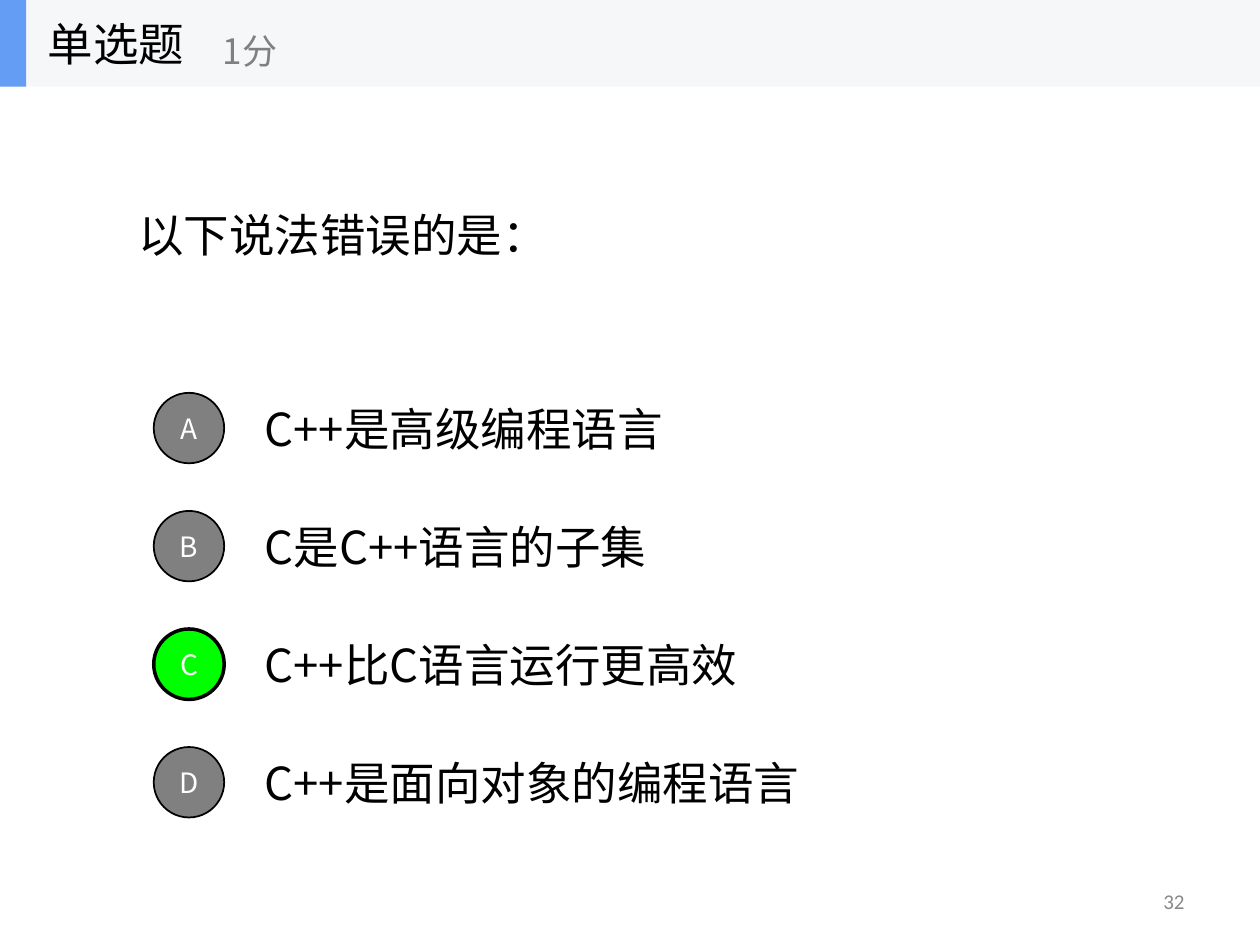
from pptx import Presentation
from pptx.dml.color import RGBColor
from pptx.enum.shapes import MSO_SHAPE
from pptx.enum.text import MSO_ANCHOR, PP_ALIGN
from pptx.oxml.ns import qn
from pptx.util import Cm, Pt

RECT, OVAL = MSO_SHAPE.RECTANGLE, MSO_SHAPE.OVAL
MIDDLE = MSO_ANCHOR.MIDDLE
LEFT, CENTER, RIGHT = PP_ALIGN.LEFT, PP_ALIGN.CENTER, PP_ALIGN.RIGHT

FONT = "Noto Sans CJK SC"
BLACK, WHITE, GRAY, GREEN = "000000", "FFFFFF", "808080", "00FF00"

OPTIONS = ["C++是高级编程语言", "C是C++语言的子集",
           "C++比C语言运行更高效", "C++是面向对象的编程语言"]
ANSWER = "C"
TOP, PITCH, ROW, DOT = 7.74, 2.38, 1.78, 1.42


def color(code):
    return RGBColor.from_string(code)


def write(shape, text, size, code=BLACK, align=LEFT, font=FONT):
    """Fill a shape with one line of text, in Latin and East Asian fonts."""
    frame = shape.text_frame
    frame.word_wrap = True
    frame.vertical_anchor = MIDDLE
    frame.text = text
    para = frame.paragraphs[0]
    para.alignment = align
    run = para.runs[0]
    run.font.size = Pt(size)
    run.font.name = font
    run.font.color.rgb = color(code)
    props = run.font._element
    props.set("lang", "zh-CN")
    east = props.makeelement(qn("a:ea"), {"typeface": font})
    props.find(qn("a:latin")).addnext(east)


def add_text(slide, box, text, size, **style):
    shape = slide.shapes.add_textbox(*map(Cm, box))
    write(shape, text, size, **style)


def add_shape(slide, kind, box, fill, width=0):
    shape = slide.shapes.add_shape(kind, *map(Cm, box))
    shape.shadow.inherit = False
    shape.fill.solid()
    shape.fill.fore_color.rgb = color(fill)
    if width:
        shape.line.color.rgb = color(BLACK)
        shape.line.width = Pt(width)
    else:
        shape.line.fill.background()
    return shape


def add_option(slide, top, letter, text):
    add_text(slide, (5.08, top, 17.78, ROW), text, 26)
    fill, width = (GREEN, 2) if letter == ANSWER else (GRAY, 1)
    box = (3.1, top + (ROW - DOT) / 2, DOT, DOT)
    dot = add_shape(slide, OVAL, box, fill, width)
    write(dot, letter, 16, WHITE, CENTER)


def add_header(slide):
    add_shape(slide, RECT, (0, 0, 25.4, 1.75), "F6F7F8")
    add_shape(slide, RECT, (0, 0, 0.53, 1.75), "639EF4")
    add_text(slide, (0.71, 0, 5.28, 1.75), "单选题", 26)
    add_text(slide, (4.24, 0.3, 6.35, 1.42), "1分", 20, code=GRAY)


def main():
    deck = Presentation()
    deck.slide_width, deck.slide_height = Cm(25.4), Cm(19.05)
    slide = deck.slides.add_slide(deck.slide_layouts[6])
    add_header(slide)
    add_text(slide, (2.54, 1.75, 20.32, 5.94), "以下说法错误的是：", 26)
    for i, (letter, text) in enumerate(zip("ABCD", OPTIONS)):
        add_option(slide, TOP + i * PITCH, letter, text)
    add_text(slide, (18.21, 17.65, 5.92, 1.02), "32", 12,
             code="898989", align=RIGHT, font="Calibri")
    deck.save("out.pptx")


if __name__ == "__main__":
    main()
